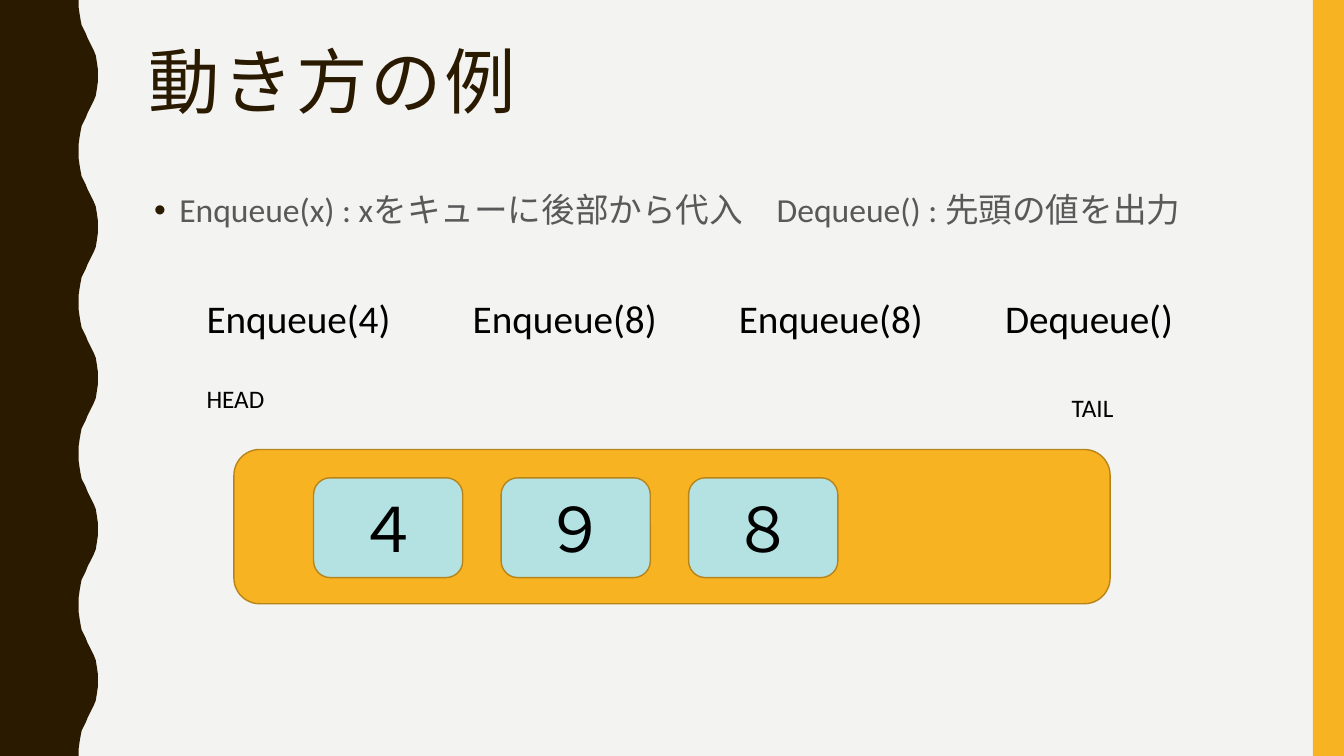
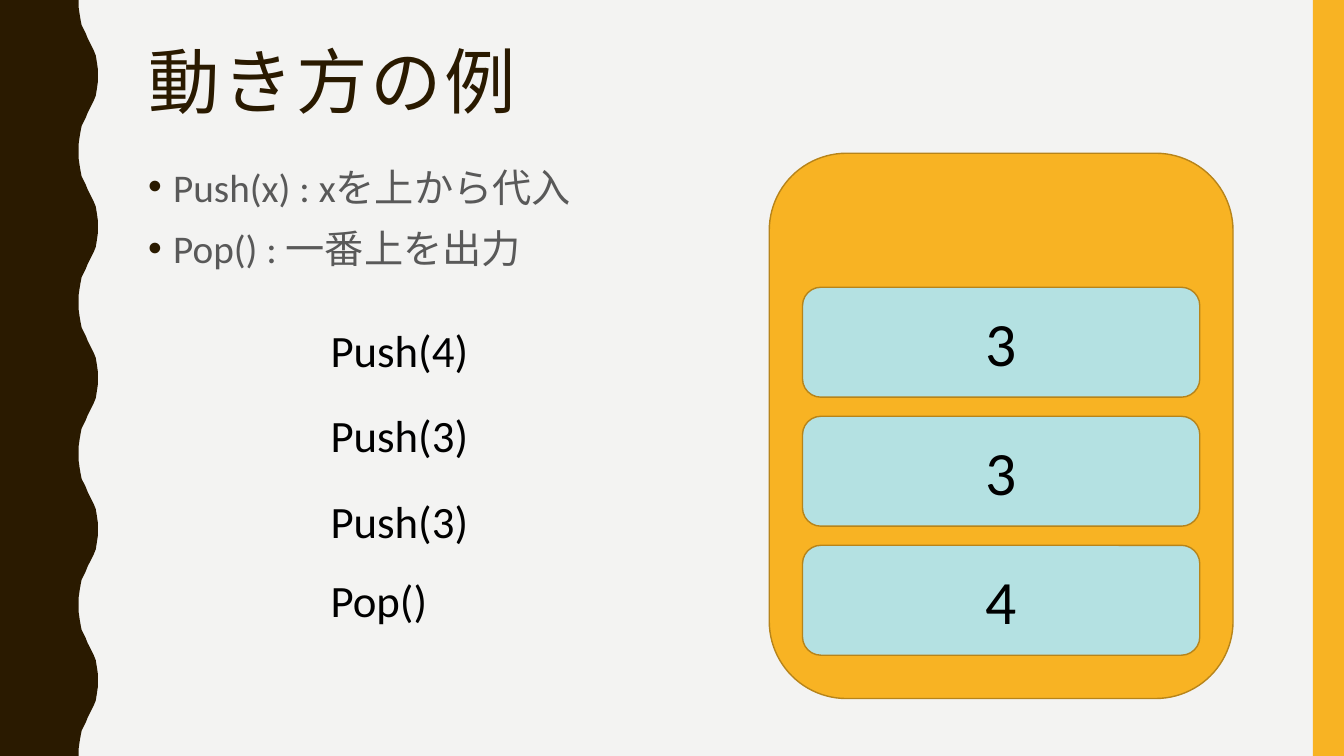
import dataclasses
import typing

import lxml.etree
import pptx
import pptx.dml.color
import pptx.enum.shapes
import pptx.enum.text
import pptx.oxml.ns
import pptx.util

Inches = pptx.util.Inches
Pt = pptx.util.Pt
Kind = pptx.enum.shapes.MSO_SHAPE
Align = pptx.enum.text.PP_ALIGN
Anchor = pptx.enum.text.MSO_ANCHOR


@dataclasses.dataclass(frozen=True)
class Theme:
    back: str = "F3F3F2"
    dark: str = "2A1A00"
    gold: str = "F8B323"
    edge: str = "B7841A"
    aqua: str = "B4E1E2"
    gray: str = "595959"
    black: str = "000000"
    head: str = "Roboto Condensed"
    body: str = "Calibri"
    title: int = 51
    cell: int = 44
    step: int = 32
    call: int = 28
    note: int = 24
    tag: int = 18


class Box(typing.NamedTuple):
    left: float
    top: float
    width: float
    height: float


class Label(typing.NamedTuple):
    text: str
    box: Box
    size: int


class Cell(typing.NamedTuple):
    text: str
    box: Box


THEME = Theme()
WIDTH, HEIGHT = 13.33, 7.5

# Half a wave, as (x, y) from its trough to its crest
PERIOD = 1.5
HALF = [(0.78, 0), (0.78, 0.07), (0.79, 0.14), (0.8, 0.2), (0.81, 0.25),
        (0.83, 0.29), (0.85, 0.33), (0.87, 0.38), (0.89, 0.42), (0.91, 0.46),
        (0.93, 0.5), (0.95, 0.55), (0.96, 0.61), (0.97, 0.68), (0.97, 0.75)]


def color(code: str) -> pptx.dml.color.RGBColor:
    return pptx.dml.color.RGBColor.from_string(code)


def place(box: Box) -> list:
    return [Inches(value) for value in box]


def paint(shape, fill: str, edge: str = "") -> None:
    shape.shadow.inherit = False
    shape.fill.solid()
    shape.fill.fore_color.rgb = color(fill)
    if edge:
        shape.line.color.rgb = color(edge)
        shape.line.width = Pt(1)
    else:
        shape.line.fill.background()


def add_dot(para) -> None:
    """Give a paragraph a bullet with a hanging indent."""
    qn = pptx.oxml.ns.qn
    props = para._p.get_or_add_pPr()
    props.set("marL", str(Inches(0.25)))
    props.set("indent", str(Inches(-0.25)))
    tint = lxml.etree.SubElement(props, qn("a:buClr"))
    lxml.etree.SubElement(tint, qn("a:srgbClr"), val=THEME.dark)
    lxml.etree.SubElement(props, qn("a:buFont"), typeface="Arial")
    lxml.etree.SubElement(props, qn("a:buChar"), char="•")


def write(shape, *lines: str, size: int, font: str = THEME.body,
          ink: str = THEME.black, align=Align.LEFT, anchor=Anchor.TOP,
          pitch: float = 1.0, before: int = 0, track: int = 0,
          dots: bool = False) -> None:
    frame = shape.text_frame
    frame.word_wrap = True
    frame.vertical_anchor = anchor
    for index, line in enumerate(lines):
        para = frame.add_paragraph() if index else frame.paragraphs[0]
        para.alignment = align
        para.line_spacing = pitch
        para.space_before = Pt(before)
        if dots:
            add_dot(para)
        run = para.add_run()
        run.text = line
        run.font.size = Pt(size)
        run.font.name = font
        run.font.color.rgb = color(ink)
        if track:
            run._r.get_or_add_rPr().set("spc", str(track * 100))


def add_text(slide, box: Box, *lines: str, **style) -> None:
    write(slide.shapes.add_textbox(*place(box)), *lines, **style)


def add_round(slide, box: Box, fill: str):
    shape = slide.shapes.add_shape(Kind.ROUNDED_RECTANGLE, *place(box))
    paint(shape, fill, THEME.edge)
    return shape


def add_cells(slide, cells: list[Cell]) -> None:
    for cell in cells:
        write(add_round(slide, cell.box, THEME.aqua), cell.text,
              size=THEME.cell, align=Align.CENTER, anchor=Anchor.MIDDLE)


def add_labels(slide, labels: list[Label]) -> None:
    for label in labels:
        add_text(slide, label.box, label.text, size=label.size)


def add_list(slide, box: Box, *lines: str, size: int) -> None:
    add_text(slide, box, *lines, size=size, ink=THEME.gray,
             pitch=1.1, before=7, dots=True)


def add_wave(slide) -> None:
    wave = HALF + [(x, PERIOD - y) for x, y in HALF[-2::-1]]
    points = [(x, y + turn * PERIOD)
              for turn in range(round(HEIGHT / PERIOD)) for x, y in wave]
    points = [(Inches(x), Inches(y)) for x, y in points + [(0, HEIGHT)]]
    pen = slide.shapes.build_freeform(0, 0)
    pen.add_line_segments(points, close=True)
    paint(pen.convert_to_shape(), THEME.dark)


def add_page(deck, title: str):
    """Start a slide with the wave, the right band and the title."""
    slide = deck.slides.add_slide(deck.slide_layouts[6])
    add_wave(slide)
    band = slide.shapes.add_shape(
        Kind.RECTANGLE, *place(Box(13.02, 0, 0.31, HEIGHT)))
    paint(band, THEME.gold)
    add_text(slide, Box(1.37, 0.42, 11.13, 1.63), title, size=THEME.title,
             font=THEME.head, ink=THEME.dark, pitch=0.9, track=2)
    return slide


def draw_queue(deck) -> None:
    slide = add_page(deck, "動き方の例")
    # Queue and its values
    add_round(slide, Box(2.32, 4.46, 8.69, 1.53), THEME.gold)
    add_cells(slide, [Cell(text, Box(3.11 + 1.86 * i, 4.74, 1.48, 0.99))
                      for i, text in enumerate("４９８")])
    # Ends and calls
    calls = ["Enqueue(4)", "Enqueue(8)", "Enqueue(8)", "Dequeue()"]
    add_labels(slide, [
        Label("HEAD", Box(1.95, 3.75, 0.95, 0.4), THEME.tag),
        Label("TAIL", Box(10.53, 3.84, 0.95, 0.4), THEME.tag),
        *(Label(text, Box(1.95 + 2.64 * i, 2.87, 2.22, 0.57), THEME.call)
          for i, text in enumerate(calls))])
    add_list(slide, Box(1.43, 1.79, 11.13, 3.93),
             "Enqueue(x) : xをキューに後部から代入　Dequeue() : 先頭の値を出力",
             size=THEME.note)


def draw_stack(deck) -> None:
    slide = add_page(deck, "動き方の例")
    add_list(slide, Box(1.37, 1.52, 11.13, 3.93),
             "Push(x) : xを上から代入", "Pop() : 一番上を出力",
             size=THEME.call)
    # Calls
    calls = [("Push(4)", 3.15), ("Push(3)", 4), ("Push(3)", 4.85),
             ("Pop()", 5.63)]
    add_labels(slide, [Label(text, Box(3.18, top, 1.69, 0.64), THEME.step)
                       for text, top in calls])
    # Stack and its values, top first
    add_round(slide, Box(7.63, 1.52, 4.6, 5.41), THEME.gold)
    add_cells(slide, [Cell(text, Box(7.96, 2.85 + 1.28 * i, 3.94, 1.09))
                      for i, text in enumerate("334")])


def main() -> None:
    deck = pptx.Presentation()
    deck.slide_width, deck.slide_height = Inches(WIDTH), Inches(HEIGHT)
    back = deck.slide_master.background.fill
    back.solid()
    back.fore_color.rgb = color(THEME.back)
    draw_queue(deck)
    draw_stack(deck)
    deck.save("out.pptx")


if __name__ == "__main__":
    main()
